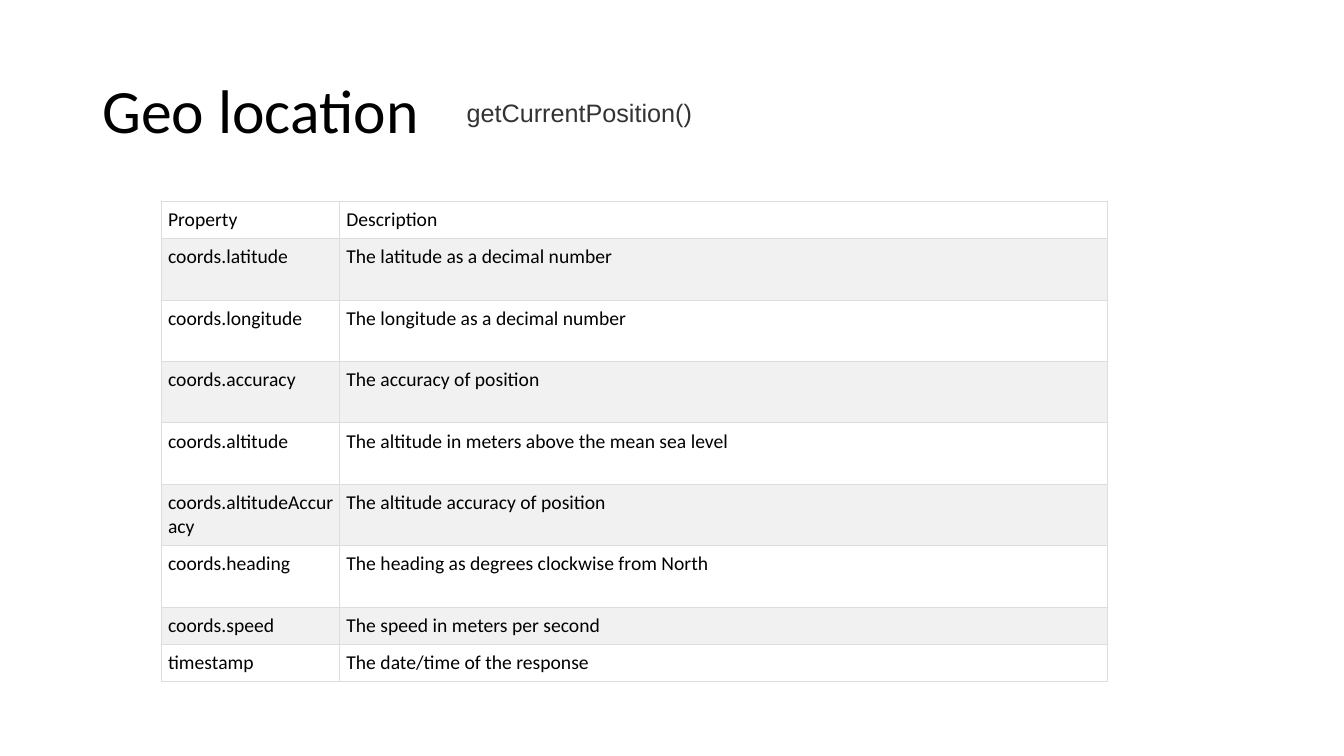
"""Build the geolocation slide with its table of position properties."""
from lxml.etree import SubElement
from pptx import Presentation
from pptx.dml.color import RGBColor
from pptx.enum.text import MSO_ANCHOR, PP_ALIGN
from pptx.oxml.ns import qn
from pptx.util import Pt

TITLE = "Geo location"
METHOD = "getCurrentPosition()"
ROWS = [
    ("Property", "Description"),
    ("coords.latitude", "The latitude as a decimal number"),
    ("coords.longitude", "The longitude as a decimal number"),
    ("coords.accuracy", "The accuracy of position"),
    ("coords.altitude", "The altitude in meters above the mean sea level"),
    ("coords.altitudeAccuracy", "The altitude accuracy of position"),
    ("coords.heading", "The heading as degrees clockwise from North"),
    ("coords.speed", "The speed in meters per second"),
    ("timestamp", "The date/time of the response"),
]
SHORT, TALL = 26.4, 43.9
ROW_HEIGHTS = [SHORT] + [TALL] * 6 + [SHORT] * 2
COL_WIDTHS = [127.4, 548.6]
INSET = 4.65

BLACK = RGBColor(0x00, 0x00, 0x00)
DARK = RGBColor(0x33, 0x33, 0x33)
WHITE = RGBColor(0xFF, 0xFF, 0xFF)
BAND = RGBColor(0xF1, 0xF1, 0xF1)
BORDER = RGBColor(0xDD, 0xDD, 0xDD)


def add_text(tf, text, size, font, color):
    p = tf.paragraphs[0]
    p.alignment = PP_ALIGN.LEFT
    r = p.add_run()
    r.text = text
    r.font.size = Pt(size)
    r.font.name = font
    r.font.color.rgb = color
    return p


def add_borders(cell):
    tc_pr = cell._tc.get_or_add_tcPr()
    for i, side in enumerate(("a:lnL", "a:lnR", "a:lnT", "a:lnB")):
        ln = tc_pr.makeelement(qn(side), {"w": str(Pt(0.75))})
        fill = SubElement(ln, qn("a:solidFill"))
        SubElement(fill, qn("a:srgbClr"), val=str(BORDER))
        tc_pr.insert(i, ln)


def add_title(s):
    sp = s.shapes.title
    sp.left, sp.top, sp.width, sp.height = Pt(66), Pt(28.8), Pt(828), Pt(104.4)
    sp.text_frame.vertical_anchor = MSO_ANCHOR.MIDDLE
    p = add_text(sp.text_frame, TITLE, 44, "Calibri", BLACK)
    p.line_spacing = 0.9


def add_property_table(s):
    table = s.shapes.add_table(
        len(ROWS), len(COL_WIDTHS), Pt(115.4), Pt(144),
        Pt(sum(COL_WIDTHS)), Pt(sum(ROW_HEIGHTS))).table
    table.first_row = table.horz_banding = False
    for col, width in zip(table.columns, COL_WIDTHS):
        col.width = Pt(width)
    for i, (texts, height) in enumerate(zip(ROWS, ROW_HEIGHTS)):
        table.rows[i].height = Pt(height)
        for cell, text in zip(table.rows[i].cells, texts):
            cell.margin_left = cell.margin_right = Pt(INSET)
            cell.margin_top = cell.margin_bottom = Pt(INSET)
            cell.fill.solid()
            cell.fill.fore_color.rgb = BAND if i % 2 else WHITE
            add_borders(cell)
            add_text(cell.text_frame, text, 14, "Calibri", BLACK)


def add_method(s):
    sp = s.shapes.add_textbox(Pt(326.2), Pt(66.2), Pt(182.2), Pt(28.8))
    sp.text_frame.word_wrap = True
    add_text(sp.text_frame, METHOD, 18, "Arial", DARK)


def main():
    prs = Presentation()
    prs.slide_width, prs.slide_height = Pt(960), Pt(540)
    s = prs.slides.add_slide(prs.slide_layouts[5])
    s.background.fill.solid()
    s.background.fill.fore_color.rgb = WHITE
    add_title(s)
    add_property_table(s)
    add_method(s)
    prs.save("out.pptx")


if __name__ == "__main__":
    main()
